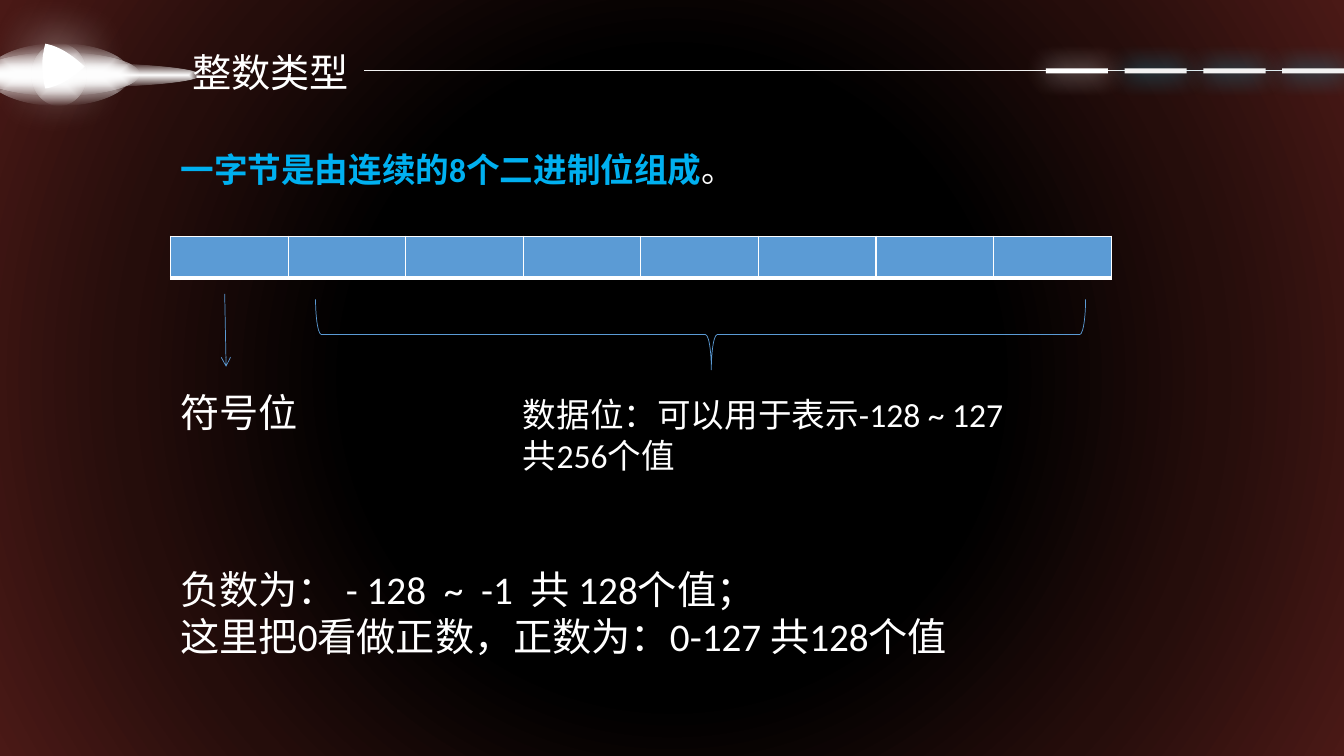
from lxml.etree import SubElement
from pptx import Presentation
from pptx.dml.color import RGBColor as Rgb
from pptx.enum.shapes import MSO_CONNECTOR as Link, MSO_SHAPE as Kind
from pptx.enum.text import MSO_ANCHOR as Anchor, MSO_AUTO_SIZE as Fit, PP_ALIGN as Align
from pptx.oxml import parse_xml
from pptx.oxml.ns import nsdecls, qn
from pptx.util import Pt

HUES = {"white": "FFFFFF", "pale": "F2F2F2", "cyan": "17C0E9", "sky": "00B0F0",
        "blue": "5B9BD5", "black": "000000", "dusk": "250D0B", "wine": "4A1916"}
HAN = "Noto Sans CJK SC"


def hue(name):
    return Rgb.from_string(HUES[name])


def grade(props, path, stops):
    marks = "".join(
        f'<a:gs pos="{pos * 1000}"><a:srgbClr val="{HUES[name]}">'
        f'<a:alpha val="{alpha * 1000}"/></a:srgbClr></a:gs>'
        for pos, name, alpha in stops)
    grad = parse_xml(
        f'<a:gradFill {nsdecls("a")} rotWithShape="1"><a:gsLst>{marks}</a:gsLst>'
        f'<a:path path="{path}"><a:fillToRect l="50000" t="50000" r="50000" b="50000"/>'
        '</a:path></a:gradFill>')
    props.replace(props.find(qn("a:solidFill")), grad)


def paint(shape, name):
    shape.fill.solid()
    shape.fill.fore_color.rgb = hue(name)
    shape.line.fill.background()
    shape.shadow.inherit = False


def glow(shape, name, blur):
    effect = shape.element.spPr.find(qn("a:effectLst"))
    shade = SubElement(effect, qn("a:outerShdw"), blurRad=str(Pt(blur)), dist="0",
                       dir="0", algn="ctr", rotWithShape="0")
    SubElement(shade, qn("a:srgbClr"), val=HUES[name])


def add_kind(shapes, kind, box, name):
    shape = shapes.add_shape(kind, *map(Pt, box))
    paint(shape, name)
    return shape


def add_line(shapes, ends, name, arrow=False):
    line = shapes.add_connector(Link.STRAIGHT, *map(Pt, ends))
    line.line.color.rgb = hue(name)
    line.line.width = Pt(0.5)
    if arrow:
        SubElement(line.line._get_or_add_ln(), qn("a:tailEnd"), type="arrow")
    SubElement(line.element.spPr, qn("a:effectLst"))


def style(run, size, name="white", face="Calibri", bold=False):
    font = run.font
    font.size, font.name, font.bold = Pt(size), face, bold
    font.color.rgb = hue(name)
    SubElement(run._r.get_or_add_rPr(), qn("a:ea"), typeface=HAN)


def add_text(shapes, box, text, size):
    frame = shapes.add_textbox(*map(Pt, box)).text_frame
    frame.word_wrap = True
    frame.auto_size = Fit.SHAPE_TO_FIT_TEXT
    frame.text = text
    for para in frame.paragraphs:
        for run in para.runs:
            style(run, size)
    return frame


def add_comet(shapes):
    group = shapes.add_group_shape().shapes
    for box in ((-59, 44.5, 202, 18), (-8.5, 31, 101.5, 44.5),
                (-15, 37.5, 114.5, 31), (22.5, 31, 39.5, 44.5)):
        oval = add_kind(group, Kind.OVAL, box, "white")
        grade(oval.element.spPr, "shape", [(0, "white", 100), (100, "white", 0)])


def curve(a, b, c, d, steps=12):
    for step in range(1, steps + 1):
        t = step / steps
        u = 1 - t
        yield tuple(Pt(u**3 * p + 3 * u * u * t * q + 3 * u * t * t * r + t**3 * s)
                    for p, q, r, s in zip(a, b, c, d))


def add_wedge(shapes):
    top, tip, low = (32.4, 31.2), (60.5, 47.5), (32.4, 63.2)
    sides = ((top, (42.5, 33.1), (51.1, 38.9), tip),
             (tip, (52.6, 55.4), (41.8, 61.9), low),
             (low, (29.5, 52.6), (29.5, 41.8), top))
    pen = shapes.build_freeform(*map(Pt, top))
    pen.add_line_segments([dot for side in sides for dot in curve(*side)], close=True)
    wedge = pen.convert_to_shape()
    paint(wedge, "white")
    glow(wedge, "white", 40)


def add_title(slide, text):
    title = slide.shapes.title
    title.left, title.top, title.width, title.height = map(Pt, (130.3, 31, 422.6, 41))
    frame = title.text_frame
    frame.text = text
    frame.word_wrap = True
    frame.auto_size = Fit.SHAPE_TO_FIT_TEXT
    frame.vertical_anchor = Anchor.TOP
    frame.paragraphs[0].alignment = Align.LEFT
    style(frame.paragraphs[0].runs[0], 28, face=HAN)
    title.element.getparent().append(title.element)


def add_rail(shapes):
    group = shapes.add_group_shape().shapes
    add_line(group, (960, 50.6, 260, 50.6), "pale")
    for i in range(4):
        fill, halo = ("pale", "cyan") if i else ("white", "white")
        dash = add_kind(group, Kind.RECTANGLE, (747 + 56.3 * i, 48.8, 44.4, 3.6), fill)
        glow(dash, halo, 18)


def add_bits(shapes, count):
    table = shapes.add_table(1, count, *map(Pt, (121.8, 168.8, 84 * count, 30))).table
    table.horz_banding = False
    table.rows[0].height = Pt(30)
    for i in range(count):
        table.columns[i].width = Pt(84)
        cell = table.cell(0, i)
        props = cell._tc.get_or_add_tcPr()
        for side, width in (("lnL", 1), ("lnR", 1), ("lnT", 1), ("lnB", 3)):
            edge = SubElement(props, qn(f"a:{side}"), w=str(Pt(width)))
            fill = SubElement(edge, qn("a:solidFill"))
            SubElement(fill, qn("a:srgbClr"), val=HUES["white"])
        cell.fill.solid()
        cell.fill.fore_color.rgb = hue("blue")


def add_brace(shapes):
    brace = shapes.add_shape(Kind.LEFT_BRACE, *map(Pt, (475.2, -36, 50.4, 550)))
    brace.rotation = 270
    brace.adjustments[0], brace.adjustments[1] = 0.083, 0.514
    brace.fill.background()
    brace.line.color.rgb = hue("blue")
    brace.line.width = Pt(0.5)
    brace.shadow.inherit = False


def main():
    deck = Presentation()
    deck.slide_width, deck.slide_height = Pt(960), Pt(540)
    slide = deck.slides.add_slide(deck.slide_layouts[5])
    shapes = slide.shapes
    slide.background.fill.solid()
    grade(slide.element.find(".//" + qn("p:bgPr")), "circle",
          [(42, "black", 100), (71, "dusk", 100), (100, "wine", 100)])

    add_comet(shapes)
    add_title(slide, "整数类型")
    add_wedge(shapes)
    add_rail(shapes)

    lead = add_text(shapes, (121.8, 103, 480, 65.5), "一字节是由连续的8个二进制位组成", 24)
    style(lead.paragraphs[0].runs[0], 24, "sky", bold=True)
    stop = lead.paragraphs[0].add_run()
    stop.text = "。"
    style(stop, 24)

    add_bits(shapes, 8)
    add_line(shapes, (160.5, 210, 161.5, 262), "blue", arrow=True)
    add_text(shapes, (121.8, 273.6, 320, 41), "符号位", 28)
    add_brace(shapes)
    add_text(shapes, (366.5, 278, 363, 65.5), "数据位：可以用于表示-128 ~ 127共256个值", 24)
    add_text(shapes, (121.8, 400.3, 576.7, 75),
             "负数为： - 128  ~  -1  共 128个值；\n这里把0看做正数，正数为：0-127 共128个值", 28)
    deck.save("out.pptx")


if __name__ == "__main__":
    main()
